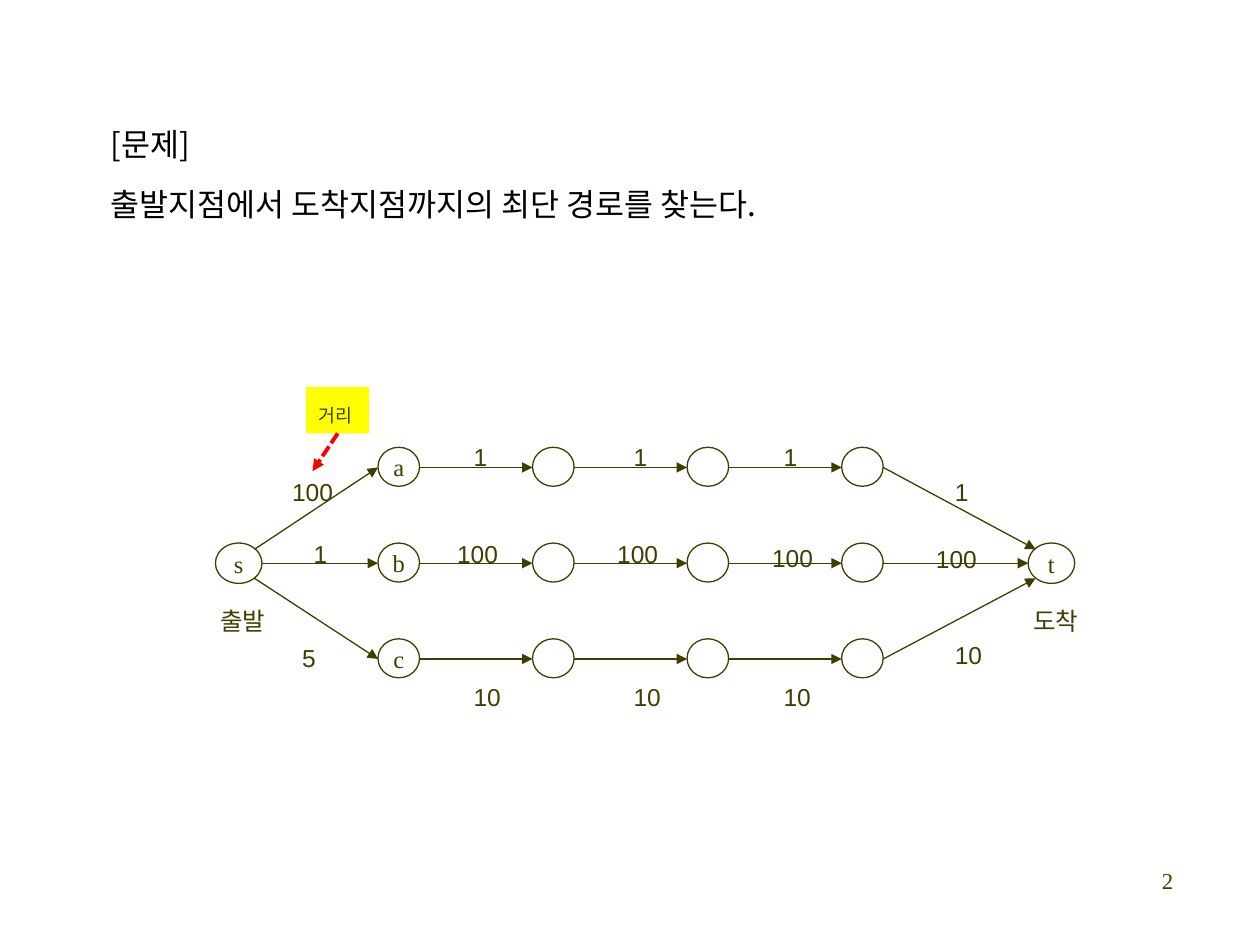
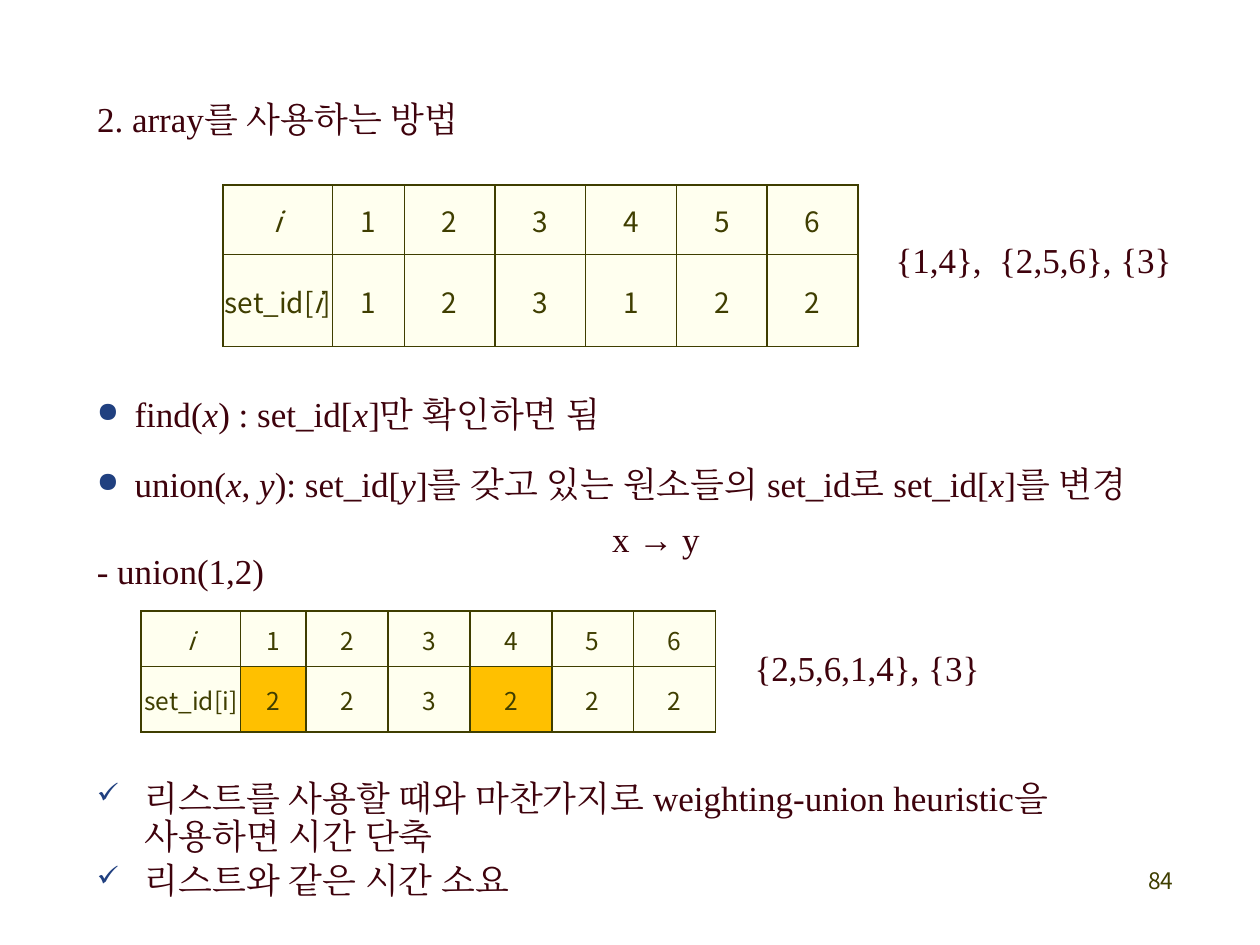
"""Build two slides on shortest paths and array-based disjoint sets."""
from dataclasses import dataclass

from lxml import etree
from pptx import Presentation
from pptx import util as u
from pptx.dml.color import RGBColor
from pptx.enum import dml, shapes, text
from pptx.oxml import ns

IN = u.Inches
LEFT, MID, RIGHT = text.PP_ALIGN.LEFT, text.PP_ALIGN.CENTER, text.PP_ALIGN.RIGHT


@dataclass(frozen=True)
class Theme:
    ink: str = "3F3E00"
    wine: str = "3E020C"
    black: str = "000000"
    red: str = "FF0000"
    yellow: str = "FFFF00"
    cream: str = "FFFFEF"
    gold: str = "FFC000"
    blue: str = "204080"
    serif: str = "Times New Roman"
    sans: str = "Arial"
    noto: str = "Noto Sans CJK KR"
    note: float = 10.5
    foot: float = 13
    label: float = 14
    cell: float = 16
    lead: float = 18
    body: float = 20


def color(code):
    return RGBColor.from_string(code)


def child(node, tag, **attrs):
    return etree.SubElement(node, ns.qn(tag), attrs)


class Deck:
    def __init__(self, theme):
        self.theme = theme
        self.prs = Presentation()
        self.prs.slide_width, self.prs.slide_height = IN(10), IN(7.5)

    def start(self):
        self.slide = self.prs.slides.add_slide(self.prs.slide_layouts[5])

    def fill(self, para, words, size, font, tone, align=LEFT, gap=None):
        para.alignment = align
        if gap:
            para.line_spacing = gap
        for i, part in enumerate(words.split("*")):
            if part:
                run = para.add_run()
                run.text = part
                run.font.size, run.font.name = u.Pt(size), font
                run.font.italic = i % 2 == 1
                run.font.color.rgb = color(tone)
                child(run.font._element, "a:ea", typeface=font)

    def title(self, words, box, size, font, tone, gap=1.0,
              anchor=text.MSO_ANCHOR.TOP):
        head = self.slide.shapes.title
        head.left, head.top, head.width, head.height = map(IN, box)
        frame = head.text_frame
        frame.auto_size = text.MSO_AUTO_SIZE.NONE
        frame.vertical_anchor = anchor
        self.fill(frame.paragraphs[0], words, size, font, tone, gap=gap)

    def prose(self, words, box, size, font, tone, align=LEFT, gap=None,
              wrap=True):
        frame = self.slide.shapes.add_textbox(*map(IN, box)).text_frame
        frame.word_wrap = wrap
        self.fill(frame.paragraphs[0], words, size, font, tone, align, gap)
        return frame

    def number(self, words, font):
        t = self.theme
        self.prose(words, (7.33, 6.83, 2.08, 0.5), t.foot, font, t.ink, RIGHT)

    def phrase(self, words, box, gap=0.9):
        t = self.theme
        self.prose(words, box, t.body, t.serif, t.wine, gap=gap)

    def label(self, words, x, y, width):
        t = self.theme
        self.prose(words, (x, y, width, 0.45), t.label, t.sans, t.ink,
                   gap=1.5, wrap=False)

    def bullets(self, items, box, mark, indent, gap):
        t = self.theme
        frame = self.slide.shapes.add_textbox(*map(IN, box)).text_frame
        frame.word_wrap = True
        for i, words in enumerate(items):
            para = frame.add_paragraph() if i else frame.paragraphs[0]
            if i:
                para.space_before = u.Pt(4)
            props = para._p.get_or_add_pPr()
            props.set("marL", str(IN(indent)))
            props.set("indent", str(-IN(indent)))
            child(child(props, "a:buClr"), "a:srgbClr", val=t.blue)
            child(props, "a:buSzPct", val="80000")
            child(props, "a:buChar", char=mark)
            self.fill(para, words, t.body, t.serif, t.wine, gap=gap)

    def node(self, x, y, width=0.33, height=0.31, name=""):
        t = self.theme
        oval = self.slide.shapes.add_shape(
            shapes.MSO_SHAPE.OVAL, IN(x), IN(y), IN(width), IN(height))
        oval.shadow.inherit = False
        oval.fill.background()
        oval.line.color.rgb, oval.line.width = color(t.ink), u.Pt(0.75)
        frame = oval.text_frame
        frame.margin_left = frame.margin_right = 0
        frame.margin_top = frame.margin_bottom = 0
        frame.vertical_anchor = text.MSO_ANCHOR.MIDDLE
        self.fill(frame.paragraphs[0], name, t.label, t.serif, t.ink, MID)

    def note(self, words, box):
        t = self.theme
        rect = self.slide.shapes.add_shape(
            shapes.MSO_SHAPE.RECTANGLE, *map(IN, box))
        rect.shadow.inherit = False
        rect.fill.solid()
        rect.fill.fore_color.rgb = color(t.yellow)
        rect.line.fill.background()
        rect.text_frame.word_wrap = False
        rect.text_frame.vertical_anchor = text.MSO_ANCHOR.TOP
        self.fill(rect.text_frame.paragraphs[0], words, t.note, t.sans,
                  t.ink, gap=1.5)
        return rect

    def arrow(self, x1, y1, x2, y2, tone=None, width=0.75):
        link = self.slide.shapes.add_connector(
            shapes.MSO_CONNECTOR.STRAIGHT, *map(IN, (x1, y1, x2, y2)))
        link.line.color.rgb = color(tone or self.theme.ink)
        link.line.width = u.Pt(width)
        child(link.line._get_or_add_ln(), "a:tailEnd", type="triangle")
        child(link._element.spPr, "a:effectLst")
        return link

    def border(self, cell):
        props = cell._tc.get_or_add_tcPr()
        for side in "LRTB":
            edge = child(props, f"a:ln{side}", w=str(u.Pt(1)))
            child(child(edge, "a:solidFill"), "a:srgbClr", val=self.theme.ink)

    def table(self, rows, x, y, cols, highs, size, marks=()):
        t = self.theme
        grid = self.slide.shapes.add_table(
            len(rows), len(cols), IN(x), IN(y), IN(sum(cols)),
            IN(sum(highs))).table
        grid.first_row = grid.horz_banding = False
        for col, width in zip(grid.columns, cols):
            col.width = IN(width)
        for r, (row, high) in enumerate(zip(rows, highs)):
            grid.rows[r].height = IN(high)
            for c, words in enumerate(row):
                cell = grid.cell(r, c)
                cell.margin_left = cell.margin_right = IN(0.01)
                cell.margin_top, cell.margin_bottom = IN(0.01), 0
                cell.vertical_anchor = text.MSO_ANCHOR.MIDDLE
                self.border(cell)
                cell.fill.solid()
                cell.fill.fore_color.rgb = color(
                    t.gold if (r, c) in marks else t.cream)
                self.fill(cell.text_frame.paragraphs[0], words, size, t.noto,
                          t.ink, MID)


def graph(deck):
    t = deck.theme
    deck.start()
    deck.title("[문제]", (0.78, 0.89, 8.3, 0.5), t.lead, t.noto, t.black,
               anchor=text.MSO_ANCHOR.MIDDLE)
    goal = deck.prose("출발지점에서 도착지점까지의 최단 경로를 찾는다.",
                      (0.78, 1.37, 8.3, 0.5), t.lead, t.noto, t.black)
    goal.vertical_anchor = text.MSO_ANCHOR.MIDDLE
    deck.number("2", t.serif)

    for name, word, x in (("s", "출발", 1.71), ("t", "도착", 8.16)):
        deck.node(x, 4.31, 0.37, 0.32, name)
        deck.label(word, x - 0.06, 4.64, 0.59)

    wide, step = 0.33, 3.68 / 3
    xs = [3 + step * i for i in range(4)]
    ends = ((2.02, 4.36, 8.22), (2.08, 4.47, 8.16), (2.02, 4.59, 8.22))
    for row, (name, (out, level, into)) in enumerate(zip("abc", ends)):
        top = 3.55 + 0.76 * row
        mid = top + 0.16
        for i, x in enumerate(xs):
            deck.node(x, top, name="" if i else name)
        deck.arrow(out, level, xs[0], mid)
        for x, after in zip(xs, xs[1:]):
            deck.arrow(x + wide, mid, after, mid)
        deck.arrow(xs[-1] + wide, mid, into, level)

    costs = (
        ("100 1 1 1 1", (2.22, 3.66, 4.93, 6.12, 7.48),
         (3.62, 3.34, 3.34, 3.34, 3.62)),
        ("1 100 100 100 100", (2.39, 3.53, 4.8, 6.03, 7.33),
         (4.11, 4.11, 4.11, 4.14, 4.15)),
        ("5 10 10 10 10", (2.3, 3.66, 4.93, 6.12, 7.48),
         (4.94, 5.25, 5.25, 5.25, 4.91)),
    )
    for row, lefts, tops in costs:
        for cost, x, y in zip(row.split(), lefts, tops):
            deck.label(cost, x, y, 0.2 + 0.11 * len(cost))

    hint = deck.note("거리", (2.43, 3.07, 0.5, 0.37))
    link = deck.arrow(2.68, 3.44, 2.48, 3.74, t.red, 2.25)
    link.line.dash_style = dml.MSO_LINE.SQUARE_DOT
    link.begin_connect(hint, 2)


def array(deck):
    t = deck.theme
    deck.start()
    deck.title("2. array를 사용하는 방법", (0.67, 0.76, 8.5, 0.4), t.body,
               t.serif, t.wine, 0.9)
    deck.number("84", t.noto)
    head = ["*i*", *"123456"]
    deck.table([head, ["set_id[*i*]", *"123122"]], 1.77, 1.47,
               [0.87, 0.57] + [0.72] * 5, (0.55, 0.73), t.cell)
    deck.phrase("{1,4},  {2,5,6}, {3}", (7.01, 1.88, 2.76, 0.4))
    deck.bullets(
        ["find(*x*) : set_id[*x*]만 확인하면 됨",
         "union(*x*, *y*): set_id[*y*]를 갖고 있는 원소들의 "
         "set_id로 set_id[*x*]를 변경"],
        (0.67, 2.9, 8.77, 1.2), "●", 0.3, 1.5)
    deck.phrase("x → y", (4.76, 4.06, 0.95, 0.44), 1.0)
    deck.phrase("- union(1,2)", (0.67, 4.35, 3, 0.4))
    deck.table([head, ["set_id[i]", *"223222"]], 1.12, 4.85,
               [0.79, 0.52] + [0.65] * 5, (0.44, 0.52), t.label,
               {(1, 1), (1, 4)})
    deck.phrase("{2,5,6,1,4}, {3}", (5.89, 5.12, 2.76, 0.4))
    deck.bullets(
        ["리스트를 사용할 때와 마찬가지로 weighting-union heuristic을 "
         "사용하면 시간 단축",
         "리스트와 같은 시간 소요"],
        (0.67, 6.15, 8.77, 1.1), "✓", 0.38, 0.9)


def main():
    deck = Deck(Theme())
    graph(deck)
    array(deck)
    deck.prs.save("out.pptx")


if __name__ == "__main__":
    main()
